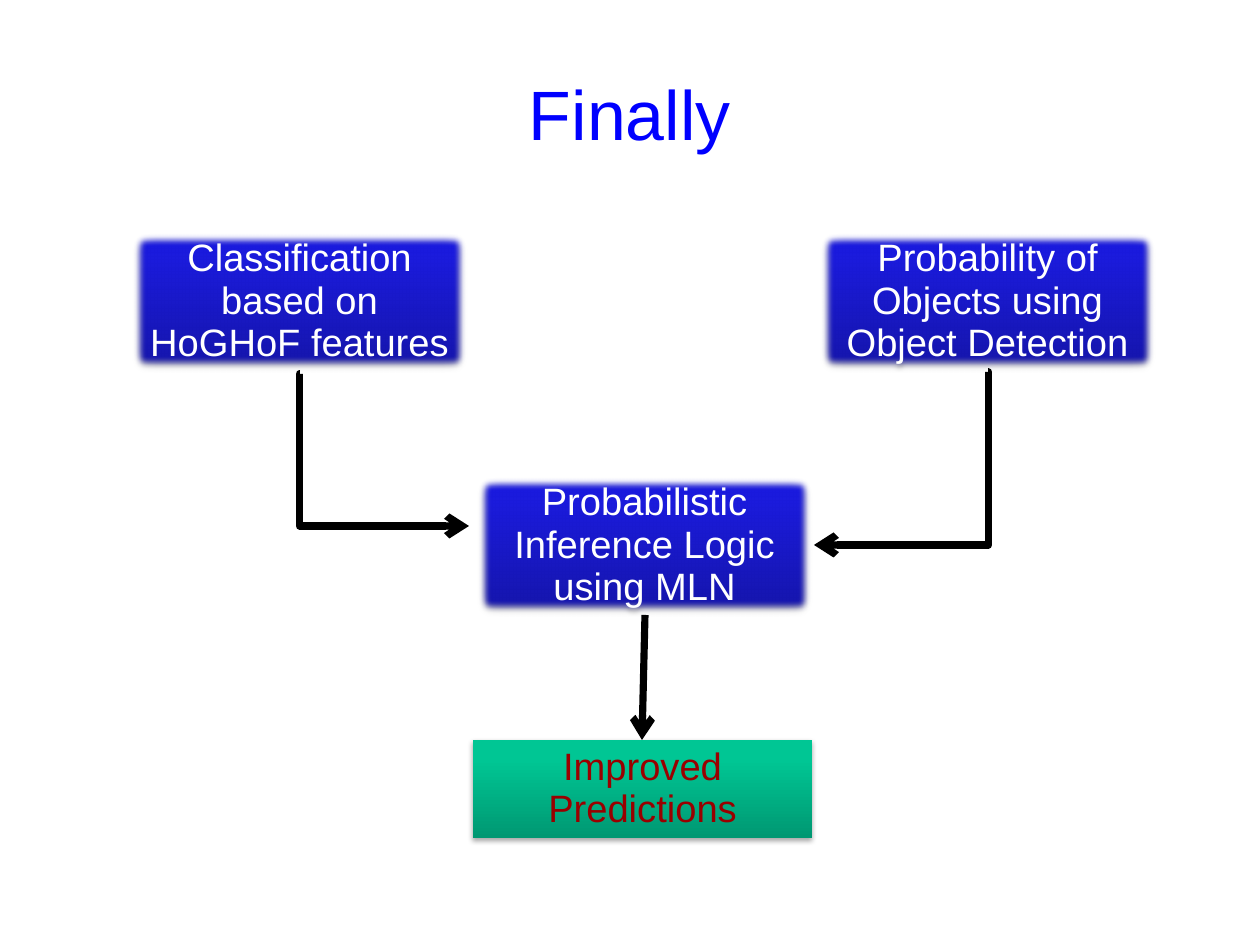
from lxml import etree
from pptx import Presentation
from pptx.dml.color import RGBColor
from pptx.enum.shapes import MSO_CONNECTOR, MSO_SHAPE
from pptx.enum.text import MSO_ANCHOR, PP_ALIGN
from pptx.oxml.ns import qn
from pptx.util import Pt

PX = 8000  # EMU in one px
RECT = MSO_SHAPE.RECTANGLE
BENT, LINE = MSO_CONNECTOR.ELBOW, MSO_CONNECTOR.STRAIGHT
MIDDLE, CENTER = MSO_ANCHOR.MIDDLE, PP_ALIGN.CENTER

BLUE = RGBColor(0x00, 0x00, 0xFF)
WHITE = RGBColor(0xFF, 0xFF, 0xFF)
RED = RGBColor(0x99, 0x00, 0x00)
BLACK = RGBColor(0x00, 0x00, 0x00)
# Gradient stops from bottom to top, by percent
NAVY = {0: RGBColor(0x15, 0x15, 0xA9), 80: RGBColor(0x1B, 0x1B, 0xDC),
        100: RGBColor(0x18, 0x18, 0xE1)}
GREEN = {0: RGBColor(0x00, 0x98, 0x72), 80: RGBColor(0x00, 0xC6, 0x94),
         100: RGBColor(0x00, 0xC7, 0x95)}

FRAME = {"word_wrap": True, "vertical_anchor": MIDDLE}
PARA = {"alignment": CENTER, "line_spacing": 0.93}
MARGINS = ("margin_left", "margin_top", "margin_right", "margin_bottom")


def apply(item, values):
    for name, value in values.items():
        setattr(item, name, value)


def px(*sizes):
    return [size * PX for size in sizes]


def node(parent, tag, **attrs):
    return etree.SubElement(parent, qn(tag),
                            {key: str(val) for key, val in attrs.items()})


def write(shape, text, size, color):
    frame = shape.text_frame
    apply(frame, FRAME)
    para = frame.paragraphs[0]
    apply(para, PARA)
    run = para.add_run()
    run.text = text
    apply(run.font, {"name": "Arial", "size": Pt(size)})
    run.font.color.rgb = color


def add_title(slide, text, area):
    box = slide.shapes.add_textbox(*px(*area))
    write(box, text, 44, BLUE)
    apply(box.text_frame, dict.fromkeys(MARGINS, 0))


def shade(shape, stops):
    props = shape._element.spPr
    grad = etree.Element(qn("a:gradFill"), rotWithShape="1")
    items = node(grad, "a:gsLst")
    for place, color in stops.items():
        stop = node(items, "a:gs", pos=place * 1000)
        node(stop, "a:srgbClr", val=color)
    node(grad, "a:lin", ang=16200000, scaled=0)
    props.find(qn("a:prstGeom")).addnext(grad)


def add_box(slide, text, area, stops, color, soft):
    box = slide.shapes.add_shape(RECT, *px(*area))
    box.line.fill.background()
    box.shadow.inherit = False
    shade(box, stops)
    # Drop shadow, and blurred rim where wanted
    effects = box._element.spPr.find(qn("a:effectLst"))
    drop = node(effects, "a:outerShdw", blurRad=40000, dist=23000,
                dir=5400000, rotWithShape=0)
    tint = node(drop, "a:srgbClr", val=BLACK)
    node(tint, "a:alpha", val=35000)
    if soft:
        node(effects, "a:softEdge", rad=63500)
    write(box, text, 24, color)


def add_arrow(slide, kind, start, end):
    arrow = slide.shapes.add_connector(kind, *px(*start, *end))
    arrow.line.width = Pt(4.5)
    arrow.line.color.rgb = BLACK
    props = arrow._element.spPr
    node(props.find(qn("a:ln")), "a:tailEnd", type="arrow")
    node(props, "a:effectLst")
    if kind == BENT:
        # Turn right at the start: down first, then across
        guides = props.find(qn("a:prstGeom")).find(qn("a:avLst"))
        node(guides, "a:gd", name="adj1", fmla="val -300")


def main():
    deck = Presentation()
    apply(deck, {"slide_width": 1260 * PX, "slide_height": 945 * PX})
    slide = deck.slides.add_slide(deck.slide_layouts[6])

    add_title(slide, "Finally", (63, 38, 1134, 158))

    # Steps and result
    boxes = [
        ("Classification based on HoGHoF features",
         (130, 231, 339, 141), NAVY, WHITE, True),
        ("Probability of Objects using Object Detection",
         (818, 231, 339, 141), NAVY, WHITE, True),
        ("Improved Predictions",
         (473, 740, 339, 98), GREEN, RED, False),
        ("Probabilistic Inference Logic using MLN",
         (475, 475, 339, 141), NAVY, WHITE, True),
    ]
    for box in boxes:
        add_box(slide, *box)

    # Flow between the boxes
    arrows = [
        (BENT, (300, 374), (469, 526)),
        (BENT, (988, 372), (814, 545)),
        (LINE, (645, 615), (642, 740)),
    ]
    for arrow in arrows:
        add_arrow(slide, *arrow)

    deck.save("out.pptx")


if __name__ == "__main__":
    main()
